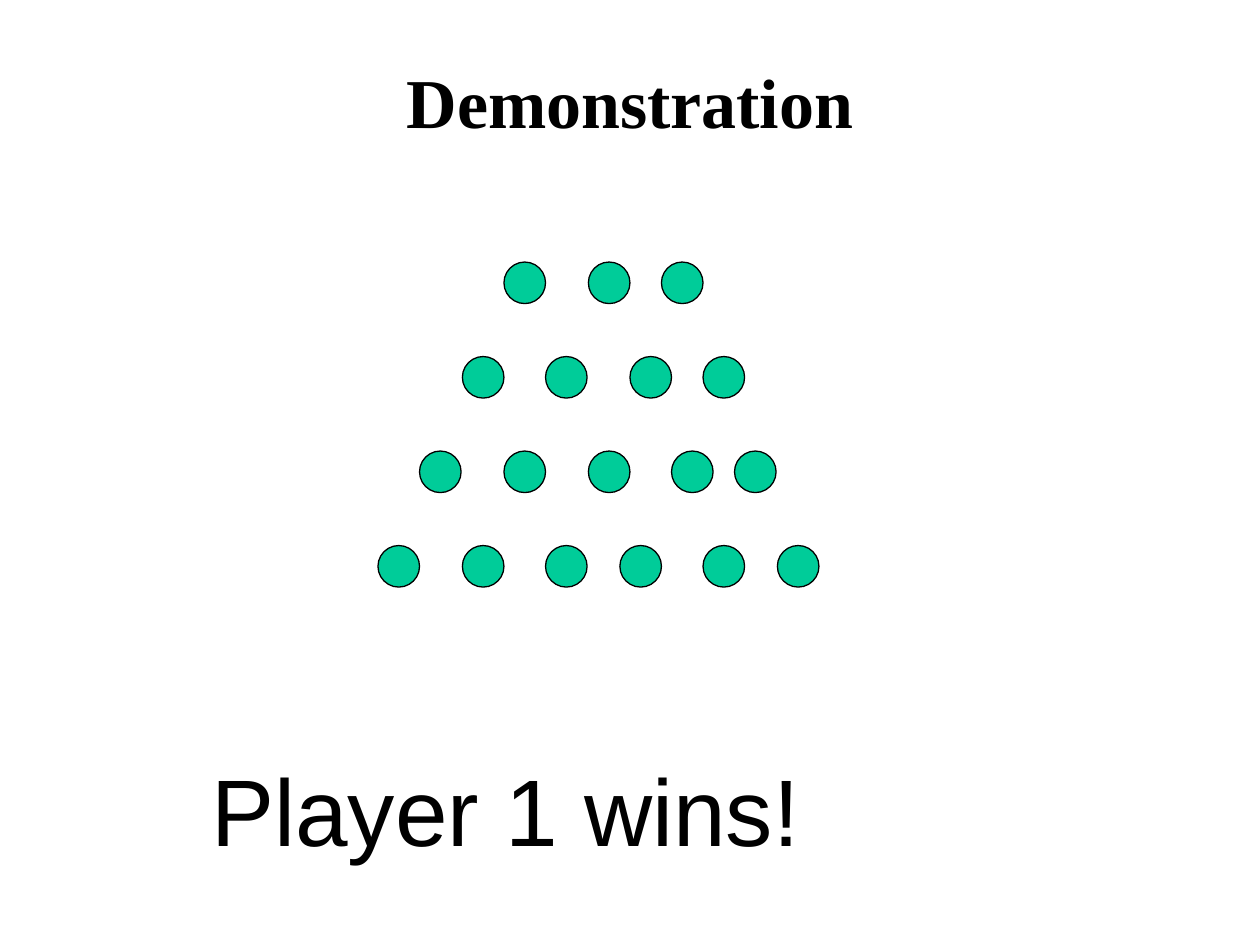
from pptx import Presentation
from pptx.dml.color import RGBColor
from pptx.enum.shapes import MSO_SHAPE
from pptx.enum.text import MSO_ANCHOR, MSO_AUTO_SIZE, PP_ALIGN
from pptx.util import Inches, Pt

OVAL = MSO_SHAPE.OVAL
MIDDLE = MSO_ANCHOR.MIDDLE
GROW = MSO_AUTO_SIZE.SHAPE_TO_FIT_TEXT
LEFT, CENTER = PP_ALIGN.LEFT, PP_ALIGN.CENTER

HUES = {"ink": "000000", "disc": "00CC99", "page": "FFFFFF"}
HEAD = {"name": "Times New Roman", "size": Pt(40), "bold": True}
NOTE = {"name": "Arial", "size": Pt(54), "bold": False}

SIZE = 0.33
PITCH = 0.75
ROWS = [
    [1, 1.67, 2.25],
    [0.67, 1.33, 2, 2.58],
    [0.33, 1, 1.67, 2.33, 2.83],
    [0, 0.67, 1.33, 1.92, 2.58, 3.17],
]


def hue(key):
    return RGBColor.from_string(HUES[key])


def write(frame, text, form, align):
    para = frame.paragraphs[0]
    para.text = text
    para.alignment = align
    para.space_before = Pt(0)
    font = para.runs[0].font
    for key, value in form.items():
        setattr(font, key, value)
    font.color.rgb = hue("ink")


def add_title(slide, box):
    title = slide.shapes.title
    title.left, title.top, title.width, title.height = map(Inches, box)
    title.text_frame.vertical_anchor = MIDDLE
    write(title.text_frame, "Demonstration", HEAD, CENTER)


def add_disc(slide, left, top):
    disc = slide.shapes.add_shape(OVAL, *map(Inches, (left, top, SIZE, SIZE)))
    disc.shadow.inherit = False
    disc.fill.solid()
    disc.fill.fore_color.rgb = hue("disc")
    disc.line.color.rgb = hue("ink")
    disc.line.width = Pt(0.75)


def add_heap(slide, left, top):
    for level, row in enumerate(ROWS):
        for shift in row:
            add_disc(slide, left + shift, top + level * PITCH)


def add_result(slide, box):
    frame = slide.shapes.add_textbox(*map(Inches, box)).text_frame
    frame.word_wrap = True
    frame.auto_size = GROW
    write(frame, "Player 1 wins!", NOTE, LEFT)


def main():
    deck = Presentation()
    deck.slide_width, deck.slide_height = Inches(10), Inches(7.5)
    slide = deck.slides.add_slide(deck.slide_layouts[5])
    slide.background.fill.solid()
    slide.background.fill.fore_color.rgb = hue("page")
    add_title(slide, (0.75, 0.17, 8.5, 1.25))
    add_heap(slide, 3, 2.08)
    add_result(slide, (1.58, 5.92, 5.83, 1))
    deck.save("out.pptx")


if __name__ == "__main__":
    main()
